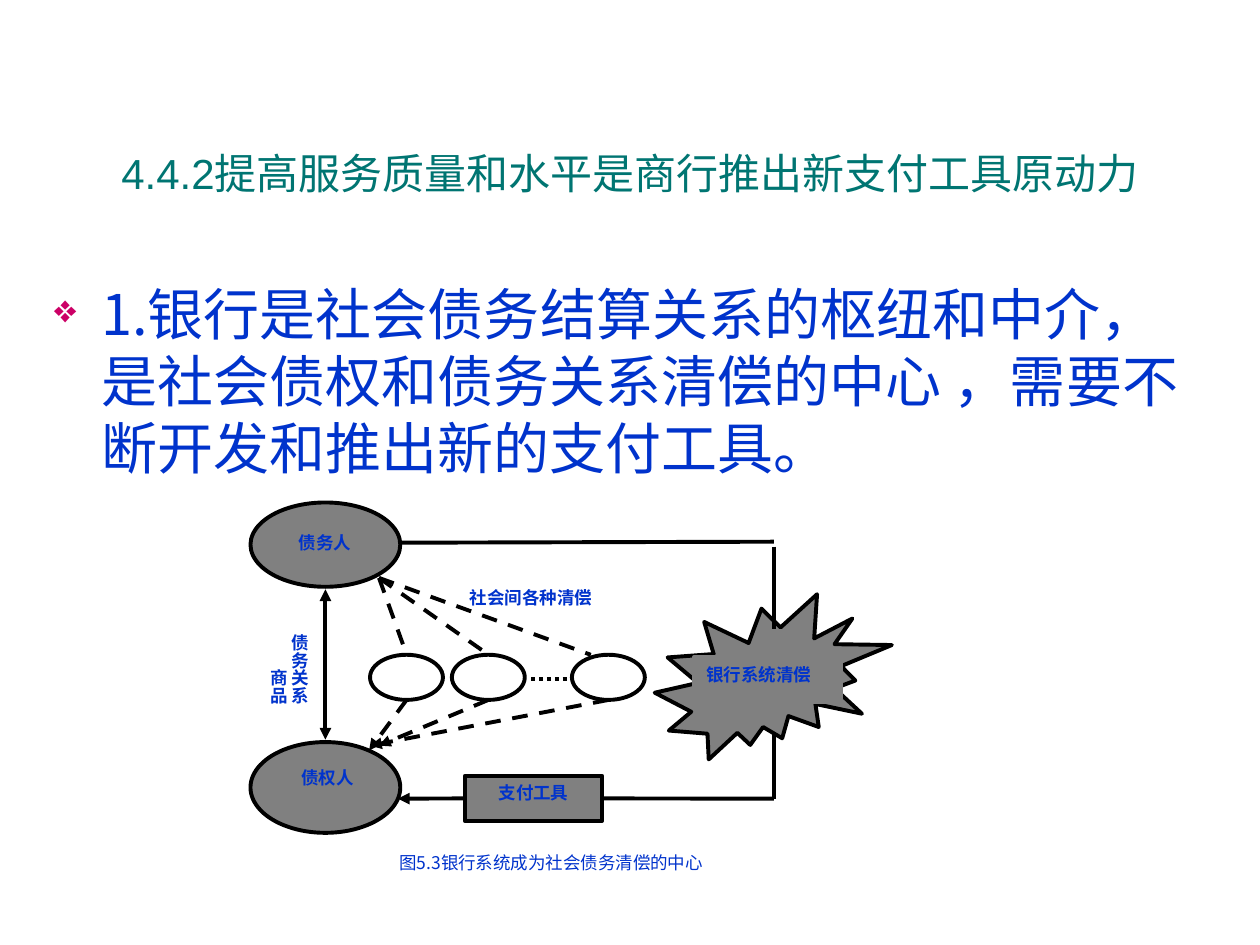
from lxml.etree import SubElement
from pptx import Presentation
from pptx.dml.color import RGBColor
from pptx.enum.dml import MSO_LINE_DASH_STYLE as DASH
from pptx.enum.shapes import MSO_CONNECTOR, MSO_SHAPE as SHAPE
from pptx.enum.text import MSO_ANCHOR as ANCHOR, PP_ALIGN as ALIGN
from pptx.oxml.ns import qn
from pptx.util import Cm, Pt

COLORS = {
    "title": "007572", "text": "0033CC", "bullet": "CC0066",
    "grey": "808080", "black": "000000", "white": "FFFFFF",
}
CJK_FONT = "Noto Sans CJK SC"


def rgb(name):
    return RGBColor.from_string(COLORS[name])


def write(shape, text, size=10, color="text", font=CJK_FONT, bold=False,
          align=ALIGN.CENTER, anchor=ANCHOR.TOP, margins=(0.25, 0.13),
          vertical=False, bullet=None, spacing=None):
    frame = shape.text_frame
    frame.word_wrap = True
    frame.vertical_anchor = anchor
    frame.margin_left = frame.margin_right = Cm(margins[0])
    frame.margin_top = frame.margin_bottom = Cm(margins[1])
    if vertical:
        shape.element.txBody.bodyPr.set("vert", "eaVert")
    para = frame.paragraphs[0]
    para.alignment = align
    if spacing:
        para.line_spacing = Pt(spacing)
    if bullet:
        props = para._p.get_or_add_pPr()
        props.set("marL", str(Cm(0.95)))
        props.set("indent", str(Cm(-0.95)))
        tint = SubElement(props, qn("a:buClr"))
        SubElement(tint, qn("a:srgbClr"), val=COLORS["bullet"])
        SubElement(props, qn("a:buSzPct"), val="70000")
        SubElement(props, qn("a:buChar"), char=bullet)
    span = para.add_run()
    span.text = text
    span.font.size = Pt(size)
    span.font.bold = bold
    span.font.color.rgb = rgb(color)
    span.font.name = font
    SubElement(span.font._element, qn("a:ea"), typeface=CJK_FONT)


def add_block(page, kind, left, top, width, height, fill="grey", line=None):
    shape = page.shapes.add_shape(kind, Cm(left), Cm(top), Cm(width), Cm(height))
    shape.shadow.inherit = False
    shape.fill.solid()
    shape.fill.fore_color.rgb = rgb(fill)
    if line:
        shape.line.color.rgb = rgb(line)
        shape.line.width = Pt(2.25)
    else:
        shape.line.fill.background()
    return shape


def add_line(page, start, end, dash=None, head=False, tail=False,
             begin_at=None, end_at=None):
    points = [Cm(value) for value in (*start, *end)]
    line = page.shapes.add_connector(MSO_CONNECTOR.STRAIGHT, *points)
    line.line.color.rgb = rgb("black")
    line.line.width = Pt(2.25)
    if dash:
        line.line.dash_style = dash
    outline = line.line._get_or_add_ln()
    for wanted, tag in ((head, "a:headEnd"), (tail, "a:tailEnd")):
        if wanted:
            SubElement(outline, qn(tag), type="triangle")
    SubElement(line.element.spPr, qn("a:effectLst"))
    if begin_at:
        line.begin_connect(*begin_at)
    if end_at:
        line.end_connect(*end_at)


def place_title(page, left, top, width, height):
    title = page.shapes.title
    title.left, title.top = Cm(left), Cm(top)
    title.width, title.height = Cm(width), Cm(height)
    write(title, "4.4.2提高服务质量和水平是商行推出新支付工具原动力",
          size=24, color="title", font="Arial", anchor=ANCHOR.MIDDLE)


def place_body(page, left, top, width, height):
    body = page.shapes.add_textbox(Cm(left), Cm(top), Cm(width), Cm(height))
    write(body, "1.银行是社会债务结算关系的枢纽和中介，是社会债权和债务关系清偿的中心 ，"
          "需要不断开发和推出新的支付工具。",
          size=32, align=ALIGN.LEFT, bullet="❖", spacing=38.3)


def place_diagram(page, left, top):
    def at(x, y):
        return left + x, top + y

    def block(kind, x, y, width, height, **style):
        return add_block(page, kind, *at(x, y), width, height, **style)

    def label(text, x, y, width, height=0.91, fill="grey", line=None,
              bold=True, **style):
        box = block(SHAPE.RECTANGLE, x, y, width, height, fill=fill, line=line)
        write(box, text, bold=bold, **style)
        return box

    def line(start, end, **style):
        add_line(page, at(*start), at(*end), **style)

    block(SHAPE.EXPLOSION2, 8.15, 1.85, 4.78, 3.33, line="black")
    label("银行系统清偿", 8.94, 3.12, 2.97, line="grey", align=ALIGN.JUSTIFY)
    label("债务关系商品", 0.43, 2.41, 0.91, 2.13, fill="white",
          align=ALIGN.RIGHT, margins=(0.13, 0.25), vertical=True)
    block(SHAPE.OVAL, 0, 0, 3.02, 1.7, line="black")
    label("债务人", 0.66, 0.46, 1.68)
    block(SHAPE.OVAL, 0, 4.83, 3.02, 1.83, line="black")
    label("债权人", 0.71, 5.21, 1.68)
    tool = label("支付工具", 4.32, 5.51, 2.77, line="black")

    spine, low = 10.55, 5.97
    line((3.02, 0.81), (spine, 0.79))
    line((spine, 0.89), (spine, 2.54))
    line((spine, 4.65), (spine, low))
    line((spine, low), (7.09, low), end_at=(tool, 3))
    line((4.32, low), (2.97, low), tail=True, begin_at=(tool, 1))
    line((1.51, 1.75), (1.51, 4.78), head=True, tail=True)

    width, height, row = 1.47, 0.91, 3.07
    fan = ((2.41, 3.15, (2.39, 5.0)),
           (4.06, 4.8, (2.59, 4.9)),
           (6.48, 6.86, (2.41, 4.9)))
    for x, entry, target in fan:
        block(SHAPE.OVAL, x, row, width, height, fill="white", line="black")
        line((2.59, 1.52), (entry, row), dash=DASH.DASH)
        line((x + width / 2, row + height), target, dash=DASH.DASH, tail=True)
    line((5.66, 3.56), (6.4, 3.56), dash=DASH.ROUND_DOT)

    note = page.shapes.add_textbox(*map(Cm, at(3.89, 1.57)), Cm(3.53), Cm(0.91))
    write(note, "社会间各种清偿", bold=True)
    label("图5.3银行系统成为社会债务清偿的中心", 2.39, 6.91, 7.34,
          fill="white", bold=False)


def main():
    deck = Presentation()
    deck.slide_width, deck.slide_height = Cm(25.4), Cm(19.05)
    page = deck.slides.add_slide(deck.slide_layouts[5])
    place_title(page, 0.84, 1.9, 23.72, 3.18)
    place_body(page, 0.84, 5.51, 23.72, 10.8)
    place_diagram(page, 5.05, 10.13)
    deck.save("out.pptx")


if __name__ == "__main__":
    main()
